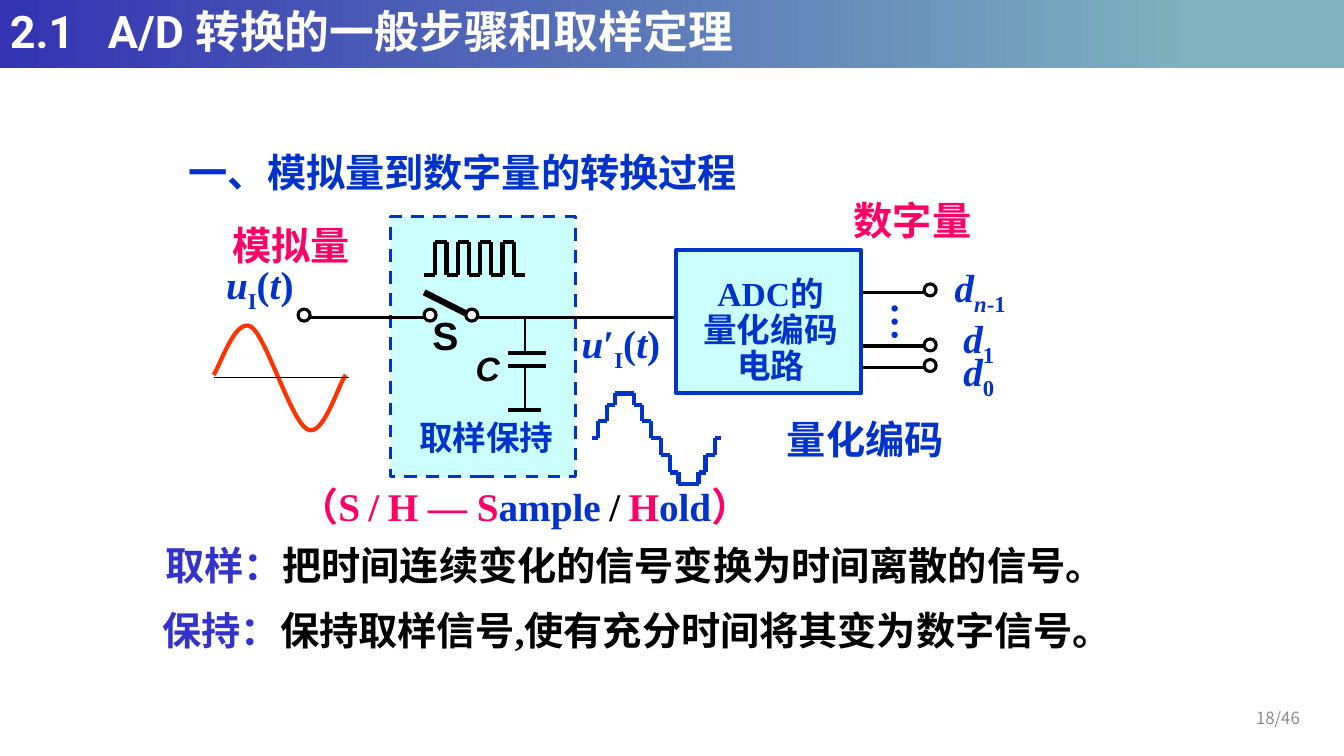
import pptx
import pptx.util
import pptx.dml.color
import pptx.enum.dml
import pptx.enum.shapes
import pptx.enum.text
import pptx.oxml.ns
import lxml.etree

Pt = pptx.util.Pt
SHAPE = pptx.enum.shapes.MSO_SHAPE
ALIGN = pptx.enum.text.PP_ALIGN
ANCHOR = pptx.enum.text.MSO_ANCHOR
COLORS = {
    "blue": "0033CC", "violet": "3333CC", "pink": "FF0066", "orange": "FF3300",
    "pale": "CCFFFF", "black": "000000", "white": "FFFFFF", "gray": "8C8C8C",
    "band_start": "3333B3", "band_end": "7DB2BE",
}
ITALIC = {"italic": True}
SUB = {"base": -25000}
SMALL = {"size": 24}
PINK = {"color": "pink"}
BLACK = {"color": "black"}


def rgb(name):
    """Return the named colour."""
    return pptx.dml.color.RGBColor.from_string(COLORS[name])


def add_span(para, words, size=28, font="Times New Roman", color="blue",
             bold=True, italic=False, base=0):
    """Append one formatted run to a paragraph."""
    span = para.add_run()
    span.text = words
    span.font.size, span.font.name = Pt(size), font
    span.font.bold, span.font.italic = bold, italic
    span.font.color.rgb = rgb(color)
    props = span.font._element
    east = lxml.etree.SubElement(props, pptx.oxml.ns.qn("a:ea"))
    east.set("typeface", "Noto Sans CJK SC")
    if base:
        props.set("baseline", str(base))


def add_tab(para, position):
    """Set one left tab stop on a paragraph."""
    stops = lxml.etree.SubElement(
        para._p.get_or_add_pPr(), pptx.oxml.ns.qn("a:tabLst"))
    stop = lxml.etree.SubElement(stops, pptx.oxml.ns.qn("a:tab"))
    stop.set("pos", str(Pt(position)))
    stop.set("algn", "l")


def text(page, place, *lines, align=ALIGN.LEFT, anchor=ANCHOR.TOP, wrap=True,
         spacing=1.0, vertical=False, tab=None, **style):
    """Add a text box whose lines are strings or lists of (words, format) spans."""
    box = page.shapes.add_textbox(*map(Pt, place))
    frame = box.text_frame
    frame.word_wrap, frame.vertical_anchor = wrap, anchor
    if vertical:
        frame._txBody.bodyPr.set("vert", "eaVert")
    for index, line in enumerate(lines):
        para = frame.add_paragraph() if index else frame.paragraphs[0]
        para.alignment, para.line_spacing = align, spacing
        if tab:
            add_tab(para, tab)
        for words, change in [(line, {})] if isinstance(line, str) else line:
            add_span(para, words, **{**style, **change})


def shape(page, kind, place, fill, line=None, width=2.25):
    """Add a preset shape with a plain fill and an optional outline."""
    item = page.shapes.add_shape(kind, *map(Pt, place))
    item.shadow.inherit = False
    item.fill.solid()
    item.fill.fore_color.rgb = rgb(fill)
    if line:
        item.line.color.rgb, item.line.width = rgb(line), Pt(width)
    else:
        item.line.fill.background()
    return item


def terminal(page, x, y, size=8.6):
    """Add a round open terminal centred on a point."""
    place = (x - size / 2, y - size / 2, size, size)
    shape(page, SHAPE.OVAL, place, "white", "black")


def wire(page, x1, y1, x2, y2, width=2.25, color="black"):
    """Add a straight line."""
    item = page.shapes.add_connector(
        pptx.enum.shapes.MSO_CONNECTOR.STRAIGHT, *map(Pt, (x1, y1, x2, y2)))
    item.line.color.rgb, item.line.width = rgb(color), Pt(width)
    lxml.etree.SubElement(item._element.spPr, pptx.oxml.ns.qn("a:effectLst"))


def trace(page, points, color):
    """Add an open curved waveform through the points."""
    start, *rest = [(Pt(x), Pt(y)) for x, y in points]
    builder = page.shapes.build_freeform(*start)
    builder.add_line_segments(rest, close=False)
    item = builder.convert_to_shape()
    item.shadow.inherit = False
    item.fill.background()
    item.line.color.rgb, item.line.width = rgb(color), Pt(3)


def steps(page, edges, levels, color):
    """Draw a stepped wave, one straight line for each tread and riser."""
    corners = [(x, y) for left, right, y in zip(edges, edges[1:], levels)
               for x in (left, right)]
    for start, end in zip(corners, corners[1:]):
        if start != end:
            wire(page, *start, *end, 3, color)


def curve(knots, count=16):
    """Return points along a chain of cubic curves."""
    points = [knots[0]]
    for first in range(0, len(knots) - 1, 3):
        for k in range(1, count + 1):
            t = k / count
            weights = ((1 - t) ** 3, 3 * t * (1 - t) ** 2, 3 * t * t * (1 - t), t ** 3)
            points.append(tuple(
                sum(w * knot[axis] for w, knot in zip(weights, knots[first:first + 4]))
                for axis in (0, 1)))
    return points


def header(page):
    """Add the gradient band, the slide title and the page number."""
    place = (0, 0, 960, 48.7)
    band = shape(page, SHAPE.RECTANGLE, place, "band_start")
    band.fill.gradient()
    band.fill.gradient_angle = 0
    for stop, color, position in zip(
            band.fill.gradient_stops, ("band_start", "band_end"), (0, 0.89)):
        stop.color.rgb, stop.position = rgb(color), position
    text(page, place, "2.1\tA/D 转换的一般步骤和取样定理", size=32, font="Roboto",
         color="white", anchor=ANCHOR.MIDDLE, spacing=0.9, tab=70)
    text(page, (841.3, 498.6, 94.3, 28.8), "18/46", size=12, font="Noto Sans CJK SC",
         color="gray", bold=False, align=ALIGN.RIGHT, anchor=ANCHOR.MIDDLE)


def sample_hold(page):
    """Draw the analog input and the sample-and-hold stage."""
    stage = shape(page, SHAPE.RECTANGLE, (279, 154.8, 131.8, 185.8), "pale", "blue")
    stage.line.dash_style = pptx.enum.dml.MSO_LINE.DASH
    wire(page, 339, 227, 483, 227)
    wire(page, 219, 227, 303, 227)
    terminal(page, 217.2, 225.1)
    terminal(page, 307.2, 225.1)
    wire(page, 303, 208.8, 339, 227, 4.5)
    terminal(page, 337, 225.1)
    wire(page, 375, 227, 375, 293, 2)
    shape(page, SHAPE.RECTANGLE, (363, 250.6, 30, 12.2), "pale")
    for y, right in ((252, 389.8), (261.4, 389.8), (293, 386.8)):
        wire(page, 363, y, right, y, 3)
    pulse_edges = [303 + 8 * k for k in range(10)]
    steps(page, pulse_edges, [196.6, 172.8] * 4 + [196.6], "black")
    trace(page, curve([
        (152.6, 267.8), (157, 262), (167.8, 226.8), (179.3, 233.3), (190, 239.8),
        (208, 301), (219.6, 306.7), (231, 312.5), (241.2, 275.8), (247, 267.8)]), "orange")
    wire(page, 152.6, 269.7, 249, 269.7, 0.75)
    edges = [422.6, 427, 433.4, 439.2, 452.9, 458.6, 465.1, 468.7, 472.3,
             478.8, 484.6, 499, 504, 510.5, 514.8]
    rise, fall = [301, 289.5, 281, 289.5, 301], [325, 337.5, 345.5, 337.5, 325]
    steps(page, edges, [313, *rise, 313, 313, *fall, 313], "blue")
    middle = {"align": ALIGN.CENTER, "anchor": ANCHOR.MIDDLE, "wrap": False}
    tail = [("I", SUB), ("(", {}), ("t", ITALIC), (")", {})]
    text(page, (153.6, 184.7, 64, 41), [("u", ITALIC), *tail], **middle)
    text(page, (408.2, 226.8, 70.6, 41), [("u", ITALIC), ("′", {}), *tail], **middle)
    text(page, (332.6, 244.8, 30.2, 36), "C", size=24, font="Arial",
         color="black", italic=True, **middle)
    text(page, (301.7, 218.6, 30.2, 41), "S", font="Arial", color="black", **middle)
    text(page, (292.3, 294.5, 149.8, 36), "取样保持", size=24)


def encoder(page):
    """Draw the quantizing encoder and its digital outputs."""
    for line_y, end_y in ((208.8, 207.1), (247.2, 246.4), (262.8, 261.1)):
        wire(page, 664.6, line_y, 609, line_y)
        terminal(page, 664.4, end_y)
    shape(page, SHAPE.RECTANGLE, (483, 178.6, 131.8, 102.2), "pale", "blue", 3)
    text(page, (495, 194.4, 110.9, 85), "ADC的", "量化编码", "电路", size=24,
         align=ALIGN.CENTER, spacing=0.9, wrap=False)
    for place, index in (
            ((674.8, 184.7, 54.7, 41), [("n", {**SUB, **ITALIC}), ("-1", SUB)]),
            ((681, 221, 38.2, 41), [("1", SUB)]),
            ((681, 244.8, 38.2, 41), [("0", SUB)])):
        text(page, place, [("d", ITALIC), *index], wrap=False)
    text(page, (620.6, 208.8, 48.2, 66.2), "…", vertical=True)


def captions(page):
    """Add the section heading, the captions and the definitions."""
    text(page, (127.8, 102.2, 444.2, 41), "一、模拟量到数字量的转换过程")
    text(page, (159, 154.8, 108, 41), "模拟量", color="pink")
    text(page, (602.8, 136.8, 131.8, 41), "数字量", color="pink")
    text(page, (555, 293, 149.8, 41), "量化编码")
    text(page, (110.9, 383, 753.8, 41), [
        ("取样：", {"color": "violet"}), ("把时间连续变化的信号变换为时间离散的信号。", BLACK)])
    text(page, (109.1, 429.8, 698.4, 41), [
        ("保持：", {"color": "violet"}), ("保持取样信号,使有充分时间将其变为数字信号。", BLACK)])
    gap = (" ", SMALL)
    text(page, (206.6, 341, 414, 41), [
        ("（S", PINK), gap, ("/", PINK), gap, ("H — S", PINK), ("ample", {}),
        gap, ("/", BLACK), gap, ("H", PINK), ("old", {}), ("）", PINK)])


def main():
    """Build the slide and save the deck."""
    deck = pptx.Presentation()
    deck.slide_width, deck.slide_height = Pt(960), Pt(540)
    page = deck.slides.add_slide(deck.slide_layouts[6])
    header(page)
    sample_hold(page)
    encoder(page)
    captions(page)
    deck.save("out.pptx")


if __name__ == "__main__":
    main()
